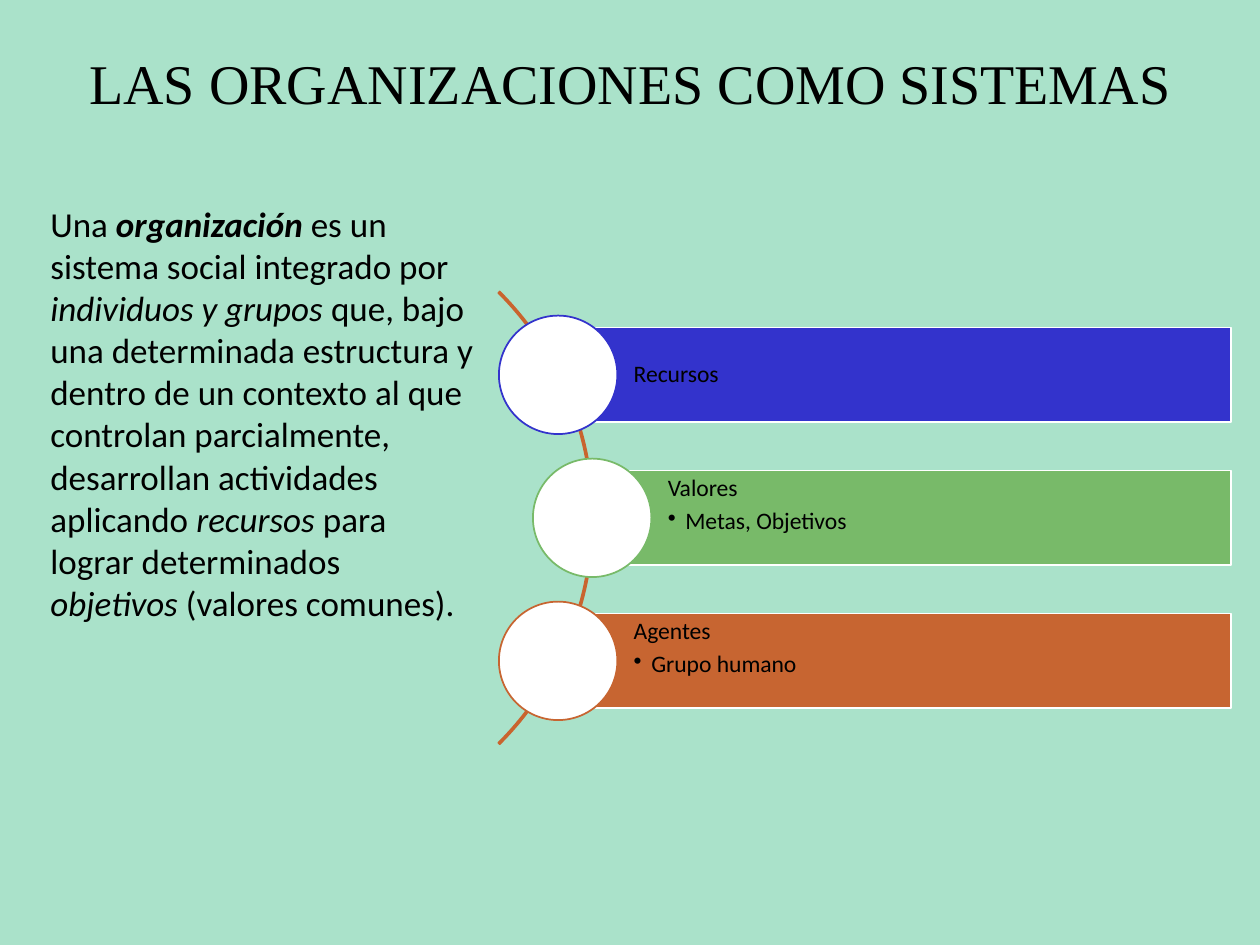
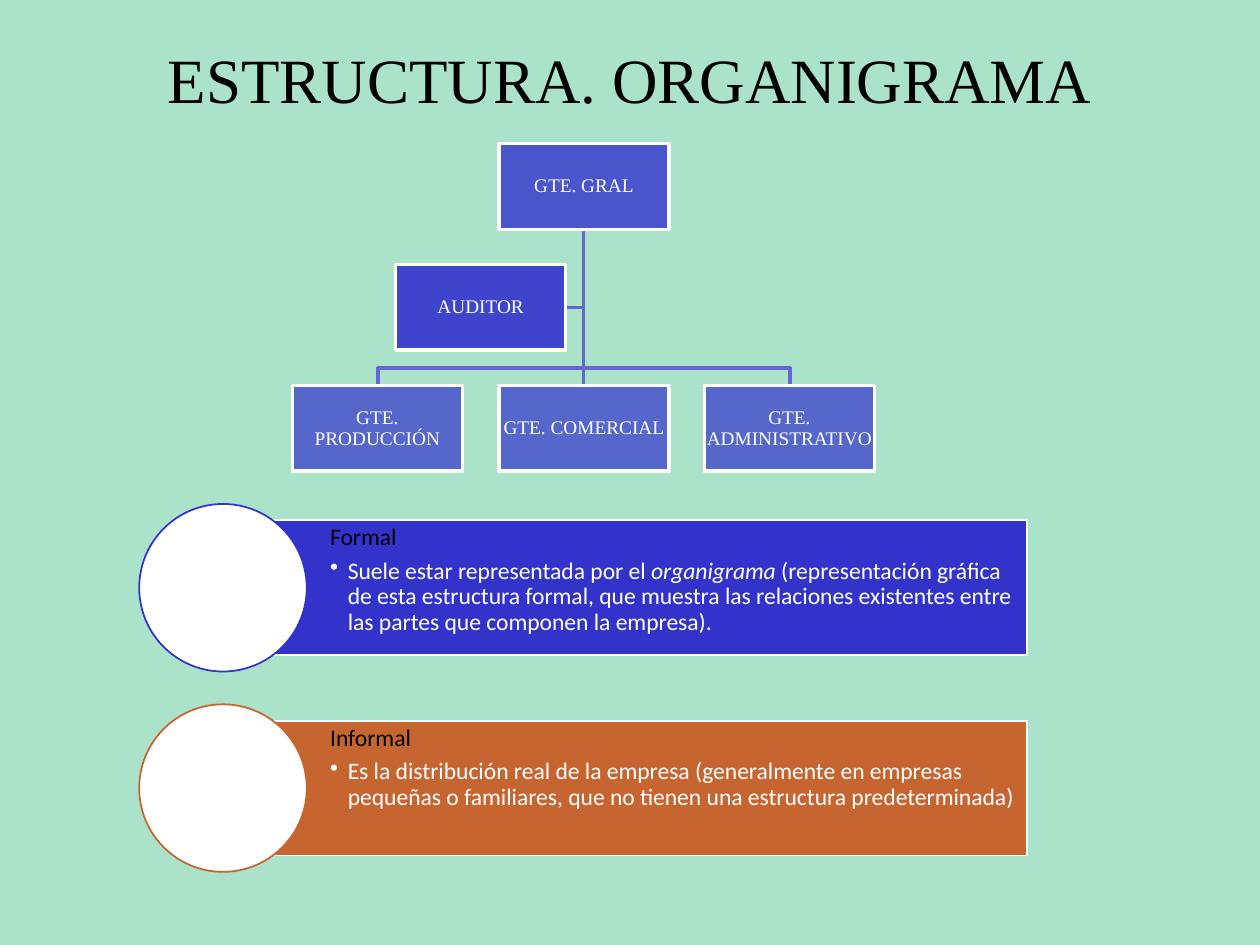
import pptx
import pptx.util
import pptx.dml.color
import pptx.enum.shapes
import pptx.enum.text
import pptx.oxml.ns
import lxml.etree

Inches = pptx.util.Inches
Pt = pptx.util.Pt
RGBColor = pptx.dml.color.RGBColor
MSO_SHAPE = pptx.enum.shapes.MSO_SHAPE
MSO_ANCHOR = pptx.enum.text.MSO_ANCHOR
PP_ALIGN = pptx.enum.text.PP_ALIGN
qn = pptx.oxml.ns.qn

MINT = RGBColor(0xAA, 0xE2, 0xCA)
BLACK = RGBColor(0, 0, 0)
WHITE = RGBColor(0xFF, 0xFF, 0xFF)
BLUE = RGBColor(0x33, 0x33, 0xCC)
GREEN = RGBColor(0x78, 0xBA, 0x69)
ORANGE = RGBColor(0xC7, 0x65, 0x31)
ARC_ORANGE = RGBColor(0xC9, 0x64, 0x2E)
LILAC = RGBColor(0x66, 0x66, 0xD2)
SERIF = "Times New Roman"
SANS = "Calibri"


def add_filled(slide, kind, left, top, width, height, fill, line, weight):
    shape = slide.shapes.add_shape(
        kind, Inches(left), Inches(top), Inches(width), Inches(height))
    shape.shadow.inherit = False
    shape.fill.solid()
    shape.fill.fore_color.rgb = fill
    shape.line.color.rgb = line
    shape.line.width = Pt(weight)
    return shape


def add_labelled_bar(slide, left, top, right, height, diameter, inset, color,
                     heading, detail, detail_color):
    bar = add_filled(slide, MSO_SHAPE.RECTANGLE, left, top, right - left, height,
                     color, WHITE, 1)
    frame = bar.text_frame
    frame.word_wrap = True
    frame.margin_left = Inches(inset)
    frame.margin_top = frame.margin_right = frame.margin_bottom = Inches(0.04)
    frame.vertical_anchor = MSO_ANCHOR.TOP if detail else MSO_ANCHOR.MIDDLE
    paragraph = frame.paragraphs[0]
    paragraph.add_run().text = heading
    rows = [(paragraph, BLACK)]
    if detail:
        paragraph = frame.add_paragraph()
        paragraph.level = 1
        paragraph.space_before = Pt(4.7)
        properties = paragraph._p.get_or_add_pPr()
        properties.set("marL", str(Inches(0.14)))
        properties.set("indent", str(-Inches(0.14)))
        bullet_color = lxml.etree.SubElement(properties, qn("a:buClr"))
        lxml.etree.SubElement(bullet_color, qn("a:srgbClr"), val=str(detail_color))
        lxml.etree.SubElement(properties, qn("a:buChar"), char="•")
        for text, italic in detail:
            run = paragraph.add_run()
            run.text = text
            if italic:
                run.font.italic = True
        rows.append((paragraph, detail_color))
    for paragraph, text_color in rows:
        paragraph.alignment = PP_ALIGN.LEFT
        paragraph.line_spacing = 0.9
        paragraph.font.name = SANS
        paragraph.font.size = Pt(13.5)
        paragraph.font.color.rgb = text_color
    add_filled(slide, MSO_SHAPE.OVAL, left - diameter / 2,
               top + (height - diameter) / 2, diameter, diameter, WHITE, color, 1)


presentation = pptx.Presentation()
presentation.slide_width = Inches(10)
presentation.slide_height = Inches(7.5)
background = presentation.slide_master.background.fill
background.solid()
background.fore_color.rgb = MINT

slides = []
for text, size, left, top, width in [
    ("LAS ORGANIZACIONES COMO SISTEMAS", 32, 0.24, 0.03, 9.53),
    ("ESTRUCTURA. ORGANIGRAMA", 36, 0.75, 0, 8.5),
]:
    slide = presentation.slides.add_slide(presentation.slide_layouts[5])
    title = slide.shapes.title
    title.left, title.top = Inches(left), Inches(top)
    title.width, title.height = Inches(width), Inches(1.25)
    title.text_frame.text = text
    title.text_frame.auto_size = pptx.enum.text.MSO_AUTO_SIZE.NONE
    title.text_frame.vertical_anchor = MSO_ANCHOR.MIDDLE
    paragraph = title.text_frame.paragraphs[0]
    paragraph.alignment = PP_ALIGN.CENTER
    paragraph.font.name = SERIF
    paragraph.font.size = Pt(size)
    paragraph.font.color.rgb = BLACK
    slides.append(slide)
systems_slide, structure_slide = slides

arc = systems_slide.shapes.add_shape(
    MSO_SHAPE.BLOCK_ARC, Inches(-0.37), Inches(1.57), Inches(5.08), Inches(5.08))
arc.shadow.inherit = False
arc.adjustments[0] = 189
arc.adjustments[1] = 27
arc.adjustments[2] = 0.003
arc.fill.background()
arc.line.color.rgb = ARC_ORANGE
arc.line.width = Pt(1)

for index, (left, color, heading, detail) in enumerate([
    (4.43, BLUE, "Recursos", []),
    (4.7, GREEN, "Valores", [("Metas, Objetivos", False)]),
    (4.43, ORANGE, "Agentes", [("Grupo humano", False)]),
]):
    add_labelled_bar(systems_slide, left, 2.6 + index * 1.135, 9.77, 0.75, 0.94, 0.6,
                     color, heading, detail, BLACK)

definition = systems_slide.shapes.add_textbox(
    Inches(0.33), Inches(1.57), Inches(3.5), Inches(4.08))
frame = definition.text_frame
frame.word_wrap = True
frame.margin_left = frame.margin_right = Inches(0.07)
frame.margin_top = frame.margin_bottom = Inches(0.04)
paragraph = frame.paragraphs[0]
paragraph.font.name = SANS
paragraph.font.size = Pt(20)
paragraph.font.color.rgb = BLACK
for text, bold, italic in [
    ("Una ", False, False),
    ("organización ", True, True),
    ("es un sistema social integrado por ", False, False),
    ("individuos y grupos", False, True),
    (" que, bajo una determinada estructura y dentro de un contexto al que controlan "
     "parcialmente, desarrollan actividades aplicando ", False, False),
    ("recursos", False, True),
    (" para lograr determinados ", False, False),
    ("objetivos", False, True),
    (" (valores comunes).", False, False),
]:
    run = paragraph.add_run()
    run.text = text
    run.font.bold = bold
    run.font.italic = italic

trunk_x, trunk_top, trunk_bottom, branch_y = 4.63, 1.81, 3.06, 2.92
trunk = structure_slide.shapes.add_connector(
    pptx.enum.shapes.MSO_CONNECTOR.STRAIGHT, Inches(trunk_x), Inches(trunk_top),
    Inches(trunk_x), Inches(trunk_bottom))
lxml.etree.SubElement(trunk._element.spPr, qn("a:effectLst"))
links = [trunk]
for points in [
    [(trunk_x, 2.44), (4.49, 2.44)],
    [(trunk_x, branch_y), (6.27, branch_y), (6.27, trunk_bottom)],
    [(trunk_x, branch_y), (3, branch_y), (3, trunk_bottom)],
]:
    builder = structure_slide.shapes.build_freeform(Inches(trunk_x), Inches(trunk_top))
    builder.add_line_segments([(Inches(x), Inches(y)) for x, y in points], close=False)
    elbow = builder.convert_to_shape()
    elbow.shadow.inherit = False
    elbow.fill.background()
    links.append(elbow)
for link in links:
    link.line.color.rgb = LILAC
    link.line.width = Pt(2)

for text, left, top, opacity in [
    ("GTE. GRAL", 3.96, 1.14, 80),
    ("GTE. PRODUCCIÓN", 2.32, 3.06, 70),
    ("GTE. COMERCIAL", 3.96, 3.06, 70),
    ("GTE. ADMINISTRATIVO", 5.59, 3.06, 70),
    ("AUDITOR", 3.14, 2.1, 90),
]:
    box = add_filled(structure_slide, MSO_SHAPE.RECTANGLE, left, top, 1.35, 0.68,
                     BLUE, WHITE, 2)
    fill_color = box._element.spPr.find(qn("a:solidFill")).find(qn("a:srgbClr"))
    lxml.etree.SubElement(fill_color, qn("a:alpha"), val=str(opacity * 1000))
    frame = box.text_frame
    frame.word_wrap = True
    frame.margin_left = frame.margin_right = Inches(0.01)
    frame.margin_top = frame.margin_bottom = Inches(0.01)
    frame.vertical_anchor = MSO_ANCHOR.MIDDLE
    frame.text = text
    paragraph = frame.paragraphs[0]
    paragraph.alignment = PP_ALIGN.CENTER
    paragraph.line_spacing = 0.9
    paragraph.font.name = SERIF
    paragraph.font.size = Pt(11)
    paragraph.font.color.rgb = WHITE

for index, (color, heading, detail) in enumerate([
    (BLUE, "Formal", [
        ("Suele estar representada por el ", False),
        ("organigrama ", True),
        ("(representación gráfica de esta estructura formal, que muestra las relaciones "
         "existentes entre las partes que componen la empresa).", False),
    ]),
    (ORANGE, "Informal", [
        ("Es la distribución real de la empresa (generalmente en empresas pequeñas o "
         "familiares, que no tienen una estructura predeterminada)", False),
    ]),
]):
    add_labelled_bar(structure_slide, 1.77, 4.13 + index * 1.59, 8.15, 1.07, 1.33, 0.85,
                     color, heading, detail, WHITE)

presentation.save("out.pptx")
